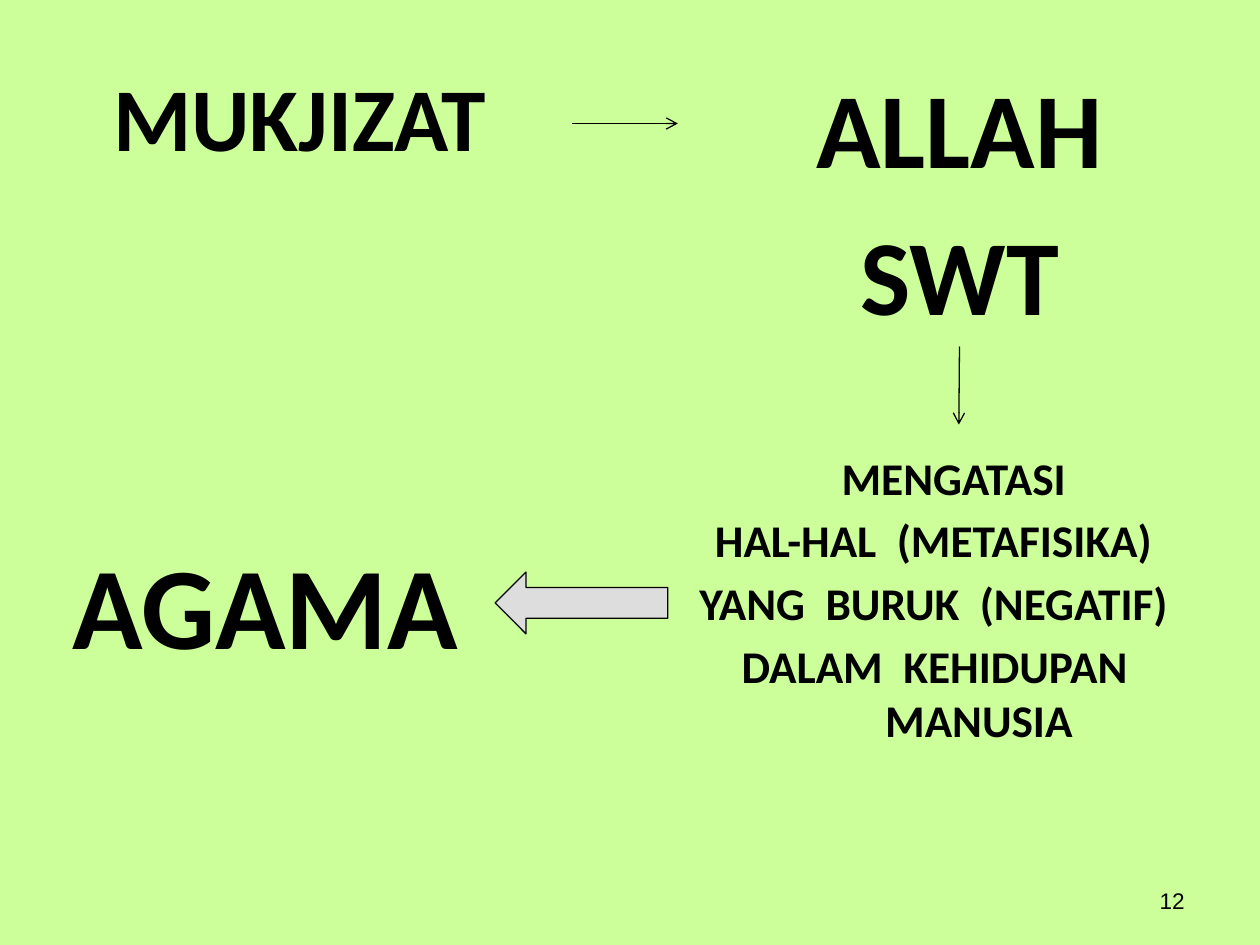
"""Build the slide that links miracles, God and religion."""
from dataclasses import dataclass

import pptx
import pptx.dml.color
import pptx.enum.shapes
import pptx.enum.text
import pptx.oxml
import pptx.oxml.ns
import pptx.util

Inches = pptx.util.Inches
Pt = pptx.util.Pt
RGBColor = pptx.dml.color.RGBColor
Align = pptx.enum.text.PP_ALIGN
Anchor = pptx.enum.text.MSO_ANCHOR

BACKGROUND = RGBColor(0xCC, 0xFF, 0x99)
BLACK = RGBColor(0, 0, 0)
GREY = RGBColor(0xDD, 0xDD, 0xDD)
LINE_WIDTH = Pt(0.75)
SPACING = 0.18


@dataclass
class Line:
    text: str
    margin: float = 0
    indent: float = 0


@dataclass
class Label:
    lines: list[Line]
    left: float
    top: float
    width: float
    height: float
    size: float
    font: str = "Calibri"
    bold: bool = True
    align: Align = Align.CENTER
    anchor: Anchor = Anchor.TOP


@dataclass
class Arrow:
    start: tuple[float, float]
    end: tuple[float, float]


MIRACLE = Label([Line("MUKJIZAT")], 0.15, 0.44, 4.46, 1.54, 51.2)
GOD = Label([Line("ALLAH"), Line("SWT")], 5.69, 0.44, 3.85, 2.31, 60.9)
PURPOSE = Label(
    [
        Line("MENGATASI", 0.32),
        Line("HAL-HAL  (METAFISIKA)"),
        Line("YANG  BURUK  (NEGATIF)"),
        Line("DALAM  KEHIDUPAN  MANUSIA", 0.72, -0.62),
    ],
    5.38, 3.52, 4.06, 3.38, 25.9,
)
RELIGION = Label([Line("AGAMA")], 0.26, 4.18, 3.69, 1.69, 66.5)
PAGE_NUMBER = Label([Line("12")], 7.17, 6.95, 2.33, 0.4, 12.9,
                    "Arial", False, Align.RIGHT, Anchor.MIDDLE)

MIRACLE_TO_GOD = Arrow((4.54, 0.98), (5.38, 0.98))
GOD_TO_PURPOSE = Arrow((7.62, 2.75), (7.61, 3.37))


def add_label(slide: pptx.slide.Slide, label: Label) -> pptx.shapes.autoshape.Shape:
    box = slide.shapes.add_textbox(Inches(label.left), Inches(label.top),
                                   Inches(label.width), Inches(label.height))
    frame = box.text_frame
    frame.word_wrap = True
    frame.vertical_anchor = label.anchor
    frame.text = "\n".join(line.text for line in label.lines)
    for position, (paragraph, line) in enumerate(zip(frame.paragraphs, label.lines)):
        paragraph.alignment = label.align
        if position:
            paragraph.space_before = Pt(round(label.size * SPACING, 1))
        if line.margin:
            properties = paragraph._p.get_or_add_pPr()
            properties.set("marL", str(Inches(line.margin)))
            properties.set("indent", str(Inches(line.indent)))
        for run in paragraph.runs:
            run.font.name = label.font
            run.font.size = Pt(label.size)
            run.font.bold = label.bold
            run.font.color.rgb = BLACK
    return box


def add_arrow(slide: pptx.slide.Slide, arrow: Arrow) -> pptx.shapes.connector.Connector:
    connector = slide.shapes.add_connector(
        pptx.enum.shapes.MSO_CONNECTOR.STRAIGHT,
        *(Inches(value) for value in arrow.start + arrow.end))
    connector.line.color.rgb = BLACK
    connector.line.width = LINE_WIDTH
    tail = pptx.oxml.parse_xml(
        f'<a:tailEnd {pptx.oxml.ns.nsdecls("a")} type="arrow"/>')
    connector.line._get_or_add_ln().append(tail)
    effects = pptx.oxml.parse_xml(f'<a:effectLst {pptx.oxml.ns.nsdecls("a")}/>')
    connector._element.spPr.append(effects)
    return connector


def add_block_arrow(slide: pptx.slide.Slide) -> None:
    block_arrow = slide.shapes.add_shape(
        pptx.enum.shapes.MSO_SHAPE.LEFT_ARROW,
        Inches(3.93), Inches(4.54), Inches(1.37), Inches(0.49))
    block_arrow.shadow.inherit = False
    block_arrow.fill.solid()
    block_arrow.fill.fore_color.rgb = GREY
    block_arrow.line.color.rgb = BLACK
    block_arrow.line.width = LINE_WIDTH


def main() -> None:
    presentation = pptx.Presentation()
    presentation.slide_width = Inches(10)
    presentation.slide_height = Inches(7.5)
    slide = presentation.slides.add_slide(presentation.slide_layouts[6])
    slide.background.fill.solid()
    slide.background.fill.fore_color.rgb = BACKGROUND

    for label in (MIRACLE, PAGE_NUMBER, PURPOSE):
        add_label(slide, label)
    god = add_label(slide, GOD)
    add_arrow(slide, MIRACLE_TO_GOD)
    add_label(slide, RELIGION)
    add_arrow(slide, GOD_TO_PURPOSE).begin_connect(god, 2)
    add_block_arrow(slide)

    presentation.save("out.pptx")


if __name__ == "__main__":
    main()
